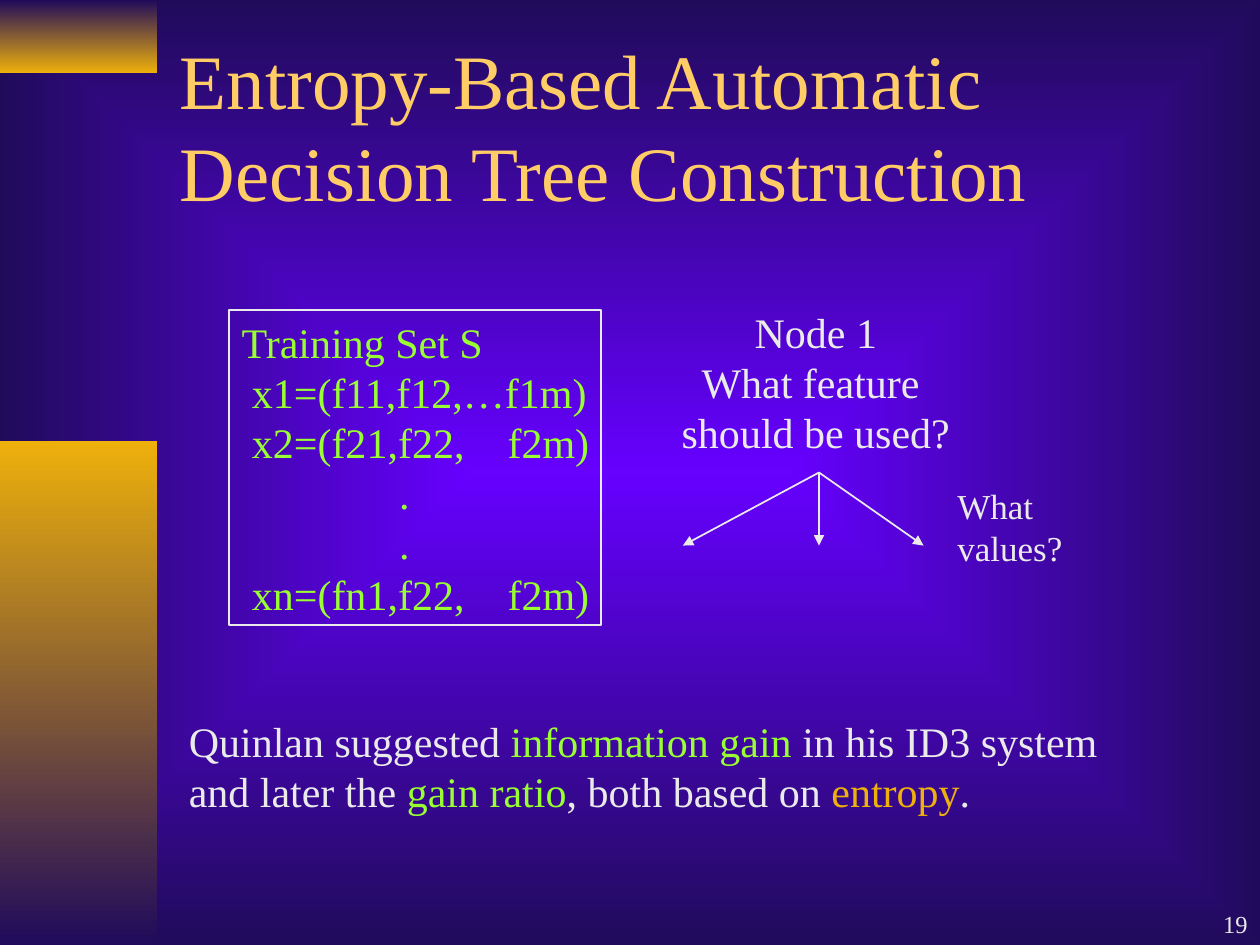
import pptx
import pptx.dml.color
import pptx.enum.shapes
import pptx.enum.text
import pptx.oxml.ns
import pptx.util
from lxml import etree

Inches = pptx.util.Inches
ALIGN = pptx.enum.text.PP_ALIGN
ANCHOR = pptx.enum.text.MSO_ANCHOR
qn = pptx.oxml.ns.qn
COLORS = {name: pptx.dml.color.RGBColor.from_string(code) for name, code in {
    "violet": "6600FF", "navy": "200B5B", "gold": "EEB00B",
    "title": "FFCC66", "light": "EAEAEA", "green": "99FF33",
}.items()}


def set_gradient(fill, first, last):
    fill.gradient()
    for stop, name in zip(fill.gradient_stops, (first, last)):
        stop.color.rgb = COLORS[name]
    fill.gradient_angle = 270


def write_text(box, lines, size, color, align=ALIGN.LEFT, anchor=ANCHOR.TOP, wrap=True):
    """Each line is a list of (text, color) spans, or one plain string."""
    frame = box.text_frame
    frame.word_wrap = wrap
    frame.vertical_anchor = anchor
    for index, line in enumerate(lines):
        para = frame.paragraphs[0] if index == 0 else frame.add_paragraph()
        para.alignment = align
        para.font.name = "Times New Roman"
        para.font.size = pptx.util.Pt(size)
        para.font.color.rgb = COLORS[color]
        for text, span_color in [(line, color)] if isinstance(line, str) else line:
            span = para.add_run()
            span.text = text
            if span_color != color:
                span.font.color.rgb = COLORS[span_color]


deck = pptx.Presentation()
deck.slide_width, deck.slide_height = Inches(10), Inches(7.5)
page = deck.slides.add_slide(deck.slide_layouts[6])

# Background glowing from the centre
set_gradient(page.background.fill, "violet", "navy")
linear = page.background._cSld.find(".//" + qn("a:lin"))
radial = etree.Element(qn("a:path"), path="rect")
etree.SubElement(radial, qn("a:fillToRect"), l="50000", t="50000", r="50000", b="50000")
linear.getparent().replace(linear, radial)

# Gold bars on the left edge
for top, height, first, last in ((0, 0.58, "navy", "gold"), (3.5, 4, "gold", "navy")):
    bar = page.shapes.add_shape(pptx.enum.shapes.MSO_SHAPE.RECTANGLE,
                                0, Inches(top), Inches(1.25), Inches(height))
    bar.shadow.inherit = False
    bar.line.fill.background()
    set_gradient(bar.fill, first, last)

# Title
title = page.shapes.add_textbox(Inches(1.33), Inches(0.33), Inches(8.5), Inches(1.32))
write_text(title, ["Entropy-Based Automatic Decision Tree Construction"], 44, "title",
           anchor=ANCHOR.MIDDLE)

# Root node question and branches
node = page.shapes.add_textbox(Inches(5.31), Inches(2.38), Inches(2.33), Inches(1.3))
write_text(node, ["Node 1", "What feature ", "should be used?"], 24, "light",
           align=ALIGN.CENTER, wrap=False)

for end_x in (5.42, 6.5, 7.33):
    branch = page.shapes.add_connector(pptx.enum.shapes.MSO_CONNECTOR.STRAIGHT,
                                       Inches(6.5), Inches(3.75), Inches(end_x), Inches(4.33))
    branch.line.color.rgb = COLORS["light"]
    branch.line.width = pptx.util.Pt(1)
    etree.SubElement(branch.line._get_or_add_ln(), qn("a:tailEnd"), type="triangle")
    etree.SubElement(branch._element.spPr, qn("a:effectLst"))

values = page.shapes.add_textbox(Inches(7.5), Inches(3.8), Inches(1.7), Inches(0.44))
write_text(values, ["What values?"], 20, "light", wrap=False)

# Training set, with tab stops for the vectors and an indent for the dots
training = page.shapes.add_shape(pptx.enum.shapes.MSO_SHAPE.RECTANGLE,
                                 Inches(1.82), Inches(2.46), Inches(2.95), Inches(2.5))
training.shadow.inherit = False
training.fill.background()
training.line.color.rgb = COLORS["light"]
training.line.width = pptx.util.Pt(1)
training.text_frame.margin_right = Inches(0.05)
write_text(training, ["Training Set S", "\tx1=(f11,f12,…f1m)", "\tx2=(f21,f22,\tf2m)",
                      ".", ".", "\txn=(fn1,f22,\tf2m)"], 24, "green")
for para in training.text_frame.paragraphs:
    properties = para._p.get_or_add_pPr()
    if para.text == ".":
        properties.set("marL", str(Inches(1.25)))
    elif para.text.startswith("\t"):
        stops = etree.Element(qn("a:tabLst"))
        for position in (0.08, 2.11):
            etree.SubElement(stops, qn("a:tab"), pos=str(Inches(position)), algn="l")
        properties.find(qn("a:defRPr")).addprevious(stops)

# Closing remark
remark = page.shapes.add_textbox(Inches(1.4), Inches(5.63), Inches(7.41), Inches(0.9))
write_text(remark, [
    [("Quinlan suggested ", "light"), ("information gain", "green"),
     (" in his ID3 system", "light")],
    [("and later the ", "light"), ("gain ratio", "green"), (", both based on ", "light"),
     ("entropy", "gold"), (".", "light")],
], 24, "light", wrap=False)

# Slide number
number = page.shapes.add_textbox(Inches(7.92), Inches(7), Inches(2.08), Inches(0.5))
write_text(number, ["19"], 14, "light", align=ALIGN.RIGHT, anchor=ANCHOR.BOTTOM)

deck.save("out.pptx")
